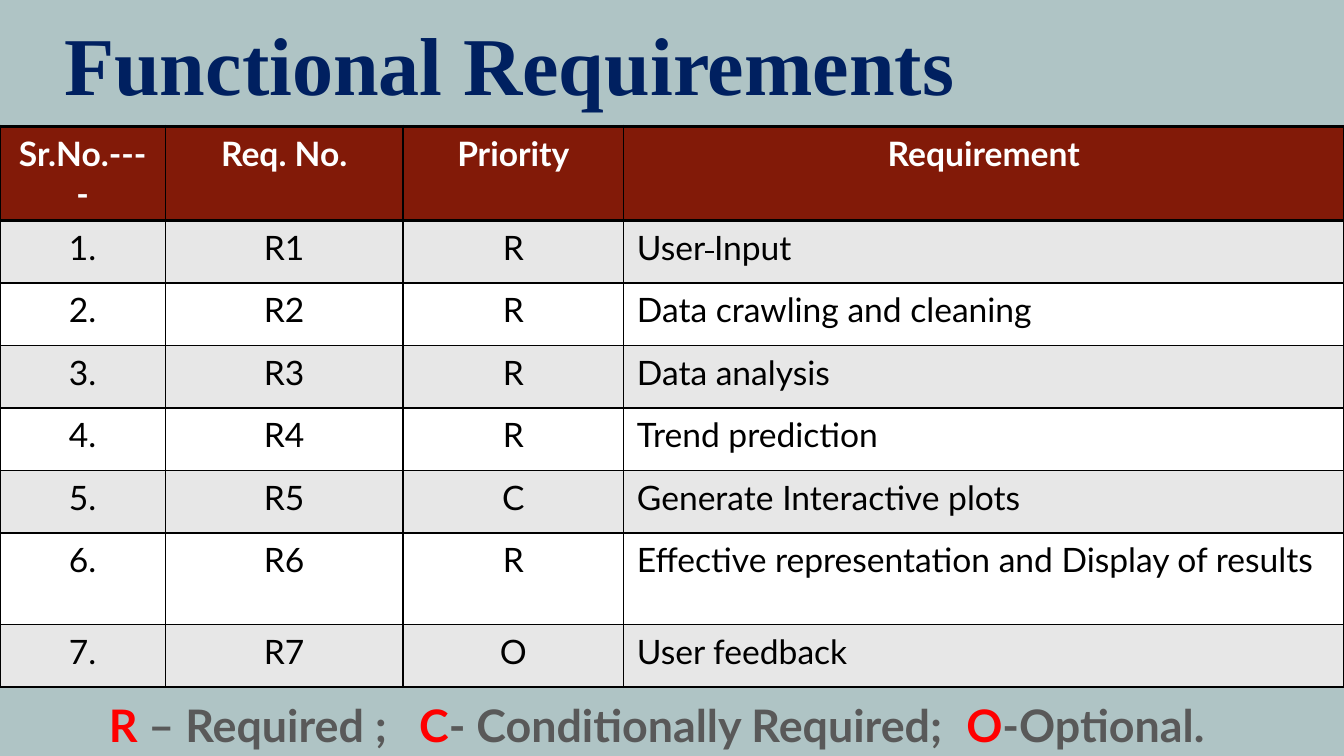
from lxml import etree
from pptx import Presentation
from pptx.dml.color import RGBColor as Rgb
from pptx.enum.text import MSO_ANCHOR as Anchor, PP_ALIGN as Align
from pptx.oxml.ns import qn
from pptx.util import Inches, Pt

COLORS = {
    "background": "AFC4C5", "title": "002060", "header": "821A08",
    "odd": "E7E7E7", "even": "FFFFFF", "ink": "000000",
    "key": "FF0000", "legend": "595959",
}
WIDTH = 10
HEIGHT = WIDTH * 9 / 16
COLUMNS = [1.23, 1.77, 1.64, 5.36]
TABLE_HEIGHT, TALL_ROW = 4.15, 0.68
TALL_ROWS = (0, 6)
THIN, THICK = 1, 2

HEADINGS = ["Sr.No.----", "Req. No.", "Priority", "Requirement"]
REQUIREMENTS = [
    ("R", "User Input"),
    ("R", "Data crawling and cleaning"),
    ("R", "Data analysis"),
    ("R", "Trend prediction"),
    ("C", "Generate Interactive plots"),
    ("R", "Effective representation and Display of results"),
    ("O", "User feedback"),
]
LEGEND = [("R", "key"), (" – Required ;\t", "legend"),
          ("C", "key"), ("- Conditionally Required;\t", "legend"),
          ("O", "key"), ("-Optional.", "legend")]
LEGEND_TABS = [2.31, 6.38]


def add_span(para, text, color, **formats):
    span = para.add_run()
    span.text = text
    for name, value in {"name": "Lato", "size": Pt(18), "bold": False, **formats}.items():
        setattr(span.font, name, value)
    span.font.color.rgb = Rgb.from_string(COLORS[color])
    return span


def add_border(cell, side, points):
    line = etree.SubElement(cell._tc.get_or_add_tcPr(), qn(f"a:ln{side}"), w=str(Pt(points)))
    fill = etree.SubElement(line, qn("a:solidFill"))
    etree.SubElement(fill, qn("a:srgbClr"), val=COLORS["ink"])


deck = Presentation()
deck.slide_width, deck.slide_height = Inches(WIDTH), Inches(HEIGHT)
page = deck.slides.add_slide(deck.slide_layouts[6])
page.background.fill.solid()
page.background.fill.fore_color.rgb = Rgb.from_string(COLORS["background"])

# Title
box = page.shapes.add_textbox(Inches(0.38), 0, Inches(7.43), Inches(1.02))
box.text_frame.word_wrap = True
box.text_frame.vertical_anchor = Anchor.MIDDLE
para = box.text_frame.paragraphs[0]
para.line_spacing = 0.9
add_span(para, "Functional Requirements", "title",
         name="Times New Roman", size=Pt(44), bold=True)

# Requirements table
rows = [HEADINGS] + [(f"{number}.", f"R{number}", priority, requirement)
                     for number, (priority, requirement) in enumerate(REQUIREMENTS, 1)]
row_height = (TABLE_HEIGHT - len(TALL_ROWS) * TALL_ROW) / (len(rows) - len(TALL_ROWS))
table = page.shapes.add_table(len(rows), len(COLUMNS), 0, Inches(0.94),
                              Inches(WIDTH), Inches(TABLE_HEIGHT)).table
table.horz_banding = False
for column, width in zip(table.columns, COLUMNS):
    column.width = Inches(width)

for row_index, values in enumerate(rows):
    table.rows[row_index].height = Inches(TALL_ROW if row_index in TALL_ROWS else row_height)
    is_header = row_index == 0
    fill = "header" if is_header else "odd" if row_index % 2 else "even"
    top = THICK if row_index < 2 else THIN
    bottom = THICK if is_header else THIN
    for column_index, text in enumerate(values):
        cell = table.cell(row_index, column_index)
        for side, points in {"L": THIN, "R": THIN, "T": top, "B": bottom}.items():
            add_border(cell, side, points)
        cell.fill.solid()
        cell.fill.fore_color.rgb = Rgb.from_string(COLORS[fill])
        para = cell.text_frame.paragraphs[0]
        is_requirement = column_index == 3 and not is_header
        para.alignment = Align.LEFT if is_requirement else Align.CENTER
        if text == "User Input":
            add_span(para, "User", "ink")
            # The gap between the two words is struck through
            add_span(para, " ", "ink")._r.get_or_add_rPr().set("strike", "sngStrike")
            add_span(para, "Input", "ink")
        else:
            add_span(para, text, "even" if is_header else "ink", bold=is_header)

# Priority legend
box = page.shapes.add_textbox(Inches(0.63), Inches(5.14), Inches(8.87), Inches(0.5))
box.text_frame.word_wrap = True
box.text_frame.margin_left = Inches(0.18)
para = box.text_frame.paragraphs[0]
tabs = etree.SubElement(para._p.get_or_add_pPr(), qn("a:tabLst"))
for position in LEGEND_TABS:
    etree.SubElement(tabs, qn("a:tab"), pos=str(Inches(position)), algn="l")
for text, color in LEGEND:
    add_span(para, text, color, size=Pt(24), bold=True)

deck.save("out.pptx")
